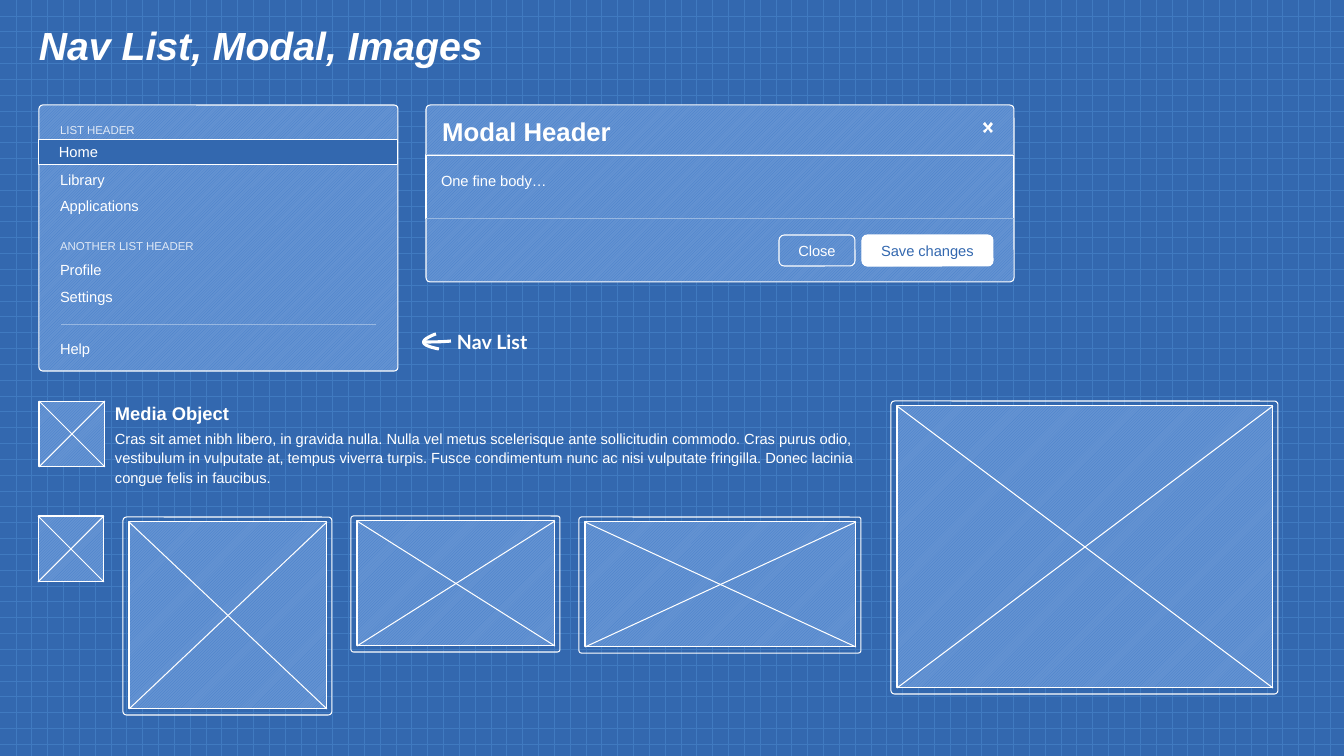
"""Build the blueprint slide of nav list, modal and image placeholders."""
from dataclasses import dataclass
from typing import Optional

from lxml import etree
from pptx import Presentation
from pptx import util as u
from pptx.dml import color
from pptx.enum import dml, shapes, text
from pptx.oxml import ns

PX = 914400 / 100.8
FINE = 20
WHITE, BLUE, RULE, PALE = "FFFFFF", "3368AF", "97B7E1", "DFE8F5"
HATCH = "hatch"
Box = tuple[int, int, int, int]
Point = tuple[float, float]


@dataclass
class Line:
    words: str
    size: float = 10.5
    ink: str = WHITE
    bold: bool = False
    italic: bool = False
    font: str = "Arial"
    spacing: float = 1.0
    before: float = 0
    after: float = 0


@dataclass
class Panel:
    box: Box
    fill: Optional[str] = HATCH
    corner: Optional[float] = None
    lines: tuple[Line, ...] = ()
    insets: Box = (10, 5, 10, 5)
    middle: bool = False
    centred: bool = False


@dataclass
class Image:
    box: Box
    frame_corner: Optional[float] = None


def px(length: float) -> u.Emu:
    return u.Emu(round(length * PX))


def rgb(value: str) -> color.RGBColor:
    return color.RGBColor.from_string(value)


def set_pattern(fill, pattern, fore: str, back: str) -> None:
    fill.patterned()
    fill.pattern = pattern
    fill.fore_color.rgb = rgb(fore)
    fill.back_color.rgb = rgb(back)


def paint(shape, fill: Optional[str], line: Optional[str] = WHITE, width: float = 0.75) -> None:
    shape.shadow.inherit = False
    if fill == HATCH:
        set_pattern(shape.fill, dml.MSO_PATTERN.LIGHT_UPWARD_DIAGONAL, "437CC9", "6493D2")
    elif fill:
        shape.fill.solid()
        shape.fill.fore_color.rgb = rgb(fill)
    else:
        shape.fill.background()
    if line:
        shape.line.color.rgb = rgb(line)
        shape.line.width = u.Pt(width)
    else:
        shape.line.fill.background()


def write(shape, lines: tuple[Line, ...], insets: Box = (10, 5, 10, 5), middle: bool = False,
          centred: bool = False, wrap: bool = True) -> None:
    frame = shape.text_frame
    frame.word_wrap = wrap
    frame.margin_left, frame.margin_top, frame.margin_right, frame.margin_bottom = map(px, insets)
    frame.vertical_anchor = text.MSO_ANCHOR.MIDDLE if middle else text.MSO_ANCHOR.TOP
    for index, line in enumerate(lines):
        paragraph = frame.add_paragraph() if index else frame.paragraphs[0]
        paragraph.alignment = text.PP_ALIGN.CENTER if centred else text.PP_ALIGN.LEFT
        paragraph.line_spacing = line.spacing
        paragraph.space_before, paragraph.space_after = u.Pt(line.before), u.Pt(line.after)
        run = paragraph.add_run()
        run.text = line.words
        run.font.name, run.font.size = line.font, u.Pt(line.size)
        run.font.bold, run.font.italic = line.bold, line.italic
        run.font.color.rgb = rgb(line.ink)


def draw_panel(slide, panel: Panel) -> None:
    kind = shapes.MSO_SHAPE.ROUNDED_RECTANGLE if panel.corner else shapes.MSO_SHAPE.RECTANGLE
    shape = slide.shapes.add_shape(kind, *map(px, panel.box))
    if panel.corner:
        shape.adjustments[0] = panel.corner
    paint(shape, panel.fill)
    if panel.lines:
        write(shape, panel.lines, panel.insets, panel.middle, panel.centred, not panel.centred)


def draw_line(slide, start: Point, end: Point, ink: str = WHITE) -> None:
    line = slide.shapes.add_connector(shapes.MSO_CONNECTOR.STRAIGHT, *map(px, (*start, *end)))
    line.line.color.rgb = rgb(ink)
    line.line.width = u.Pt(0.75)
    etree.SubElement(line.element.spPr, ns.qn("a:effectLst"))


def draw_image(slide, image: Image) -> None:
    left, top, width, height = image.box
    if image.frame_corner:
        draw_panel(slide, Panel((left - 6, top - 5, width + 11, height + 11), None, image.frame_corner))
    draw_panel(slide, Panel(image.box))
    right, bottom = left + width, top + height
    draw_line(slide, (left, top), (right, bottom))
    draw_line(slide, (left, bottom), (right, top))


def draw_outline(slide, points: list[Point], closed: bool) -> None:
    (x, y), *rest = [(px_x * FINE, px_y * FINE) for px_x, px_y in points]
    builder = slide.shapes.build_freeform(x, y, PX / FINE)
    builder.add_line_segments(rest, close=closed)
    shape = builder.convert_to_shape()
    paint(shape, WHITE if closed else None, None if closed else WHITE, 2.25)


def curve(a: Point, b: Point, c: Point, d: Point, steps: int = 12) -> list[Point]:
    def at(t: float, axis: int) -> float:
        s = 1 - t
        return s**3 * a[axis] + 3 * s * s * t * b[axis] + 3 * s * t * t * c[axis] + t**3 * d[axis]
    return [(at(i / steps, 0), at(i / steps, 1)) for i in range(steps + 1)]


def draw_text(slide, box: Box, *lines: Line, **layout) -> None:
    write(slide.shapes.add_textbox(*map(px, box)), lines, **layout)


def nav(words: str, before: float = 0) -> Line:
    return Line(words, spacing=1.5, before=before)


def nav_header(words: str, before: float = 0) -> Line:
    return Line(words, 8.2, PALE, spacing=1.5, before=before)


ROW = 18.1
NAV_LIST = (nav_header("LIST HEADER"), nav("Library", ROW), nav("Applications"),
            nav_header("ANOTHER LIST HEADER", 12), nav("Profile"), nav("Settings"), nav("Help", ROW))
NAV_PANELS = (
    Panel((39, 105, 359, 266), corner=0.014, lines=NAV_LIST, insets=(20, 10, 20, 10)),
    Panel((39, 139, 359, 26), BLUE, lines=(Line("Home"),), insets=(20, 5, 20, 5), middle=True),
)
BUTTON = dict(corner=0.167, insets=(17, 5, 17, 5), middle=True, centred=True)
MODAL_PANELS = (
    Panel((426, 105, 588, 177), corner=0.024, lines=(Line("Modal Header", 18.4, bold=True),),
          insets=(15, 10, 15, 10)),
    Panel((779, 235, 76, 31), lines=(Line("Close"),), **BUTTON),
    Panel((862, 235, 131, 31), WHITE, lines=(Line("Save changes", ink=BLUE),), **BUTTON),
    Panel((426, 155, 588, 64), None, lines=(Line("One fine body…"),), insets=(15, 17, 15, 5)),
)
RULES = (((376, 325), (61, 325)), ((426, 155), (1014, 155)), ((426, 219), (1014, 219)))
CLOSE_CROSS = [(985, 122), (983, 124), (987, 128), (983, 131), (985, 133), (988, 129),
               (991, 133), (993, 131), (990, 128), (993, 124), (991, 122), (988, 126)]
IMAGES = (
    Image((39, 401, 66, 66)), Image((38, 516, 66, 66)),
    Image((897, 406, 376, 282), 0.012), Image((357, 521, 198, 125), 0.018),
    Image((585, 522, 271, 125), 0.018), Image((129, 522, 198, 187), 0.018),
)
ARROW_HEAD = (curve((436, 334), (430, 336), (425, 339), (424, 341))
              + curve((424, 341), (422, 344), (428, 347), (439, 349))[1:])
ARROW_SHAFT = curve((424, 342), (430, 342), (441, 342), (451, 341))
MEDIA_BODY = ("Cras sit amet nibh libero, in gravida nulla. Nulla vel metus scelerisque ante "
              "sollicitudin commodo. Cras purus odio, vestibulum in vulputate at, tempus viverra "
              "turpis. Fusce condimentum nunc ac nisi vulputate fringilla. Donec lacinia congue "
              "felis in faucibus.")


def main() -> None:
    deck = Presentation()
    deck.slide_width, deck.slide_height = px(1344), px(756)
    slide = deck.slides.add_slide(deck.slide_layouts[6])
    set_pattern(slide.background.fill, dml.MSO_PATTERN.DOTTED_GRID, "407AC0", BLUE)
    draw_text(slide, (29, 21, 1285, 53),
              Line("Nav List, Modal, Images", 28, bold=True, italic=True, spacing=0.9), middle=True)
    for panel in NAV_PANELS + MODAL_PANELS:
        draw_panel(slide, panel)
    for start, end in RULES:
        draw_line(slide, start, end, RULE)
    draw_outline(slide, CLOSE_CROSS, True)
    for image in IMAGES:
        draw_image(slide, image)
    draw_text(slide, (105, 394, 768, 98), Line("Media Object", 13.1, bold=True, spacing=1.1, after=3),
              Line(MEDIA_BODY, spacing=1.1), middle=True)
    for stroke in (ARROW_HEAD, ARROW_SHAFT):
        draw_outline(slide, stroke, False)
    draw_text(slide, (452, 326, 92, 31), Line("Nav List", 14, bold=True, font="Lato"),
              insets=(5, 4, 5, 4), wrap=False)
    deck.save("out.pptx")


main()
